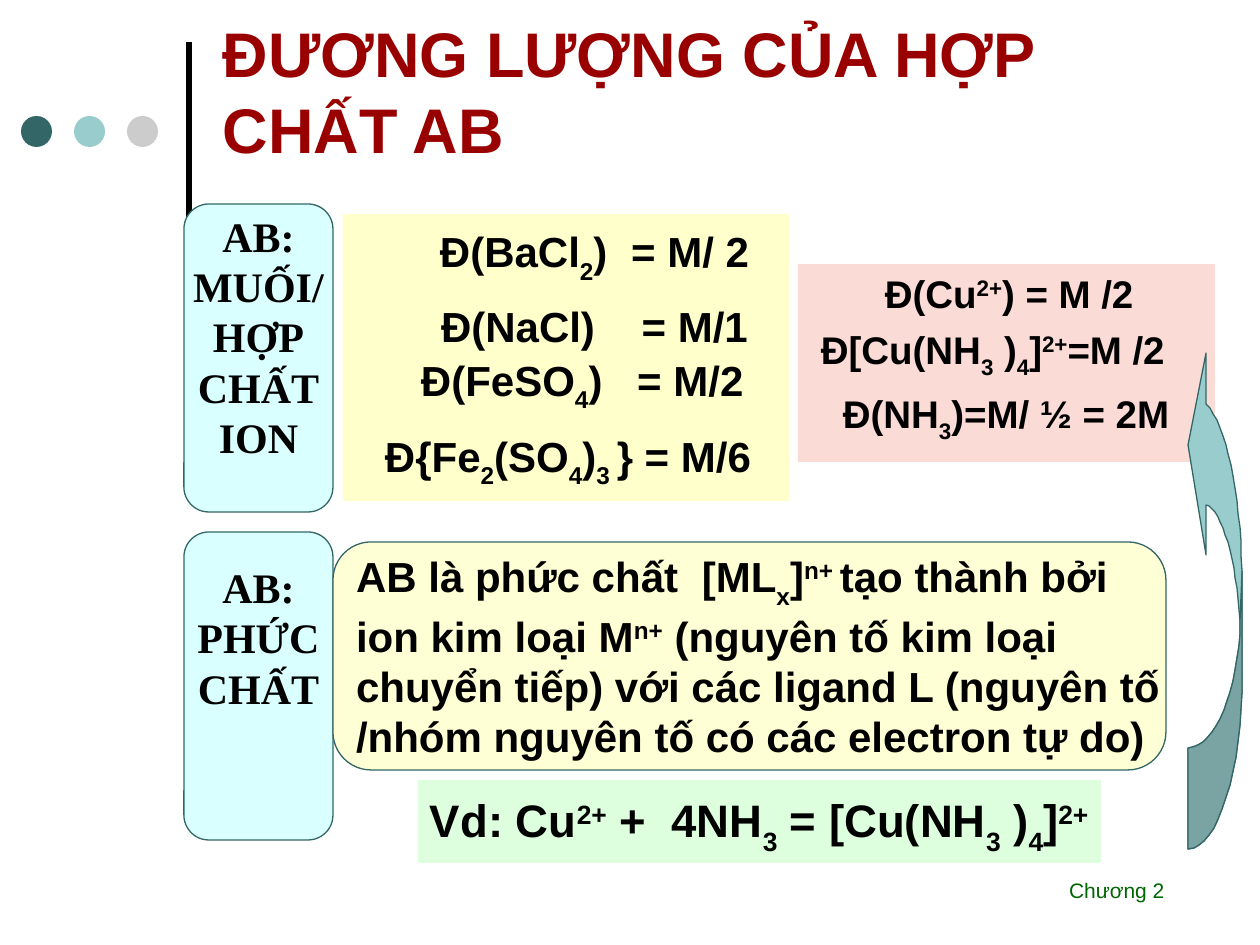
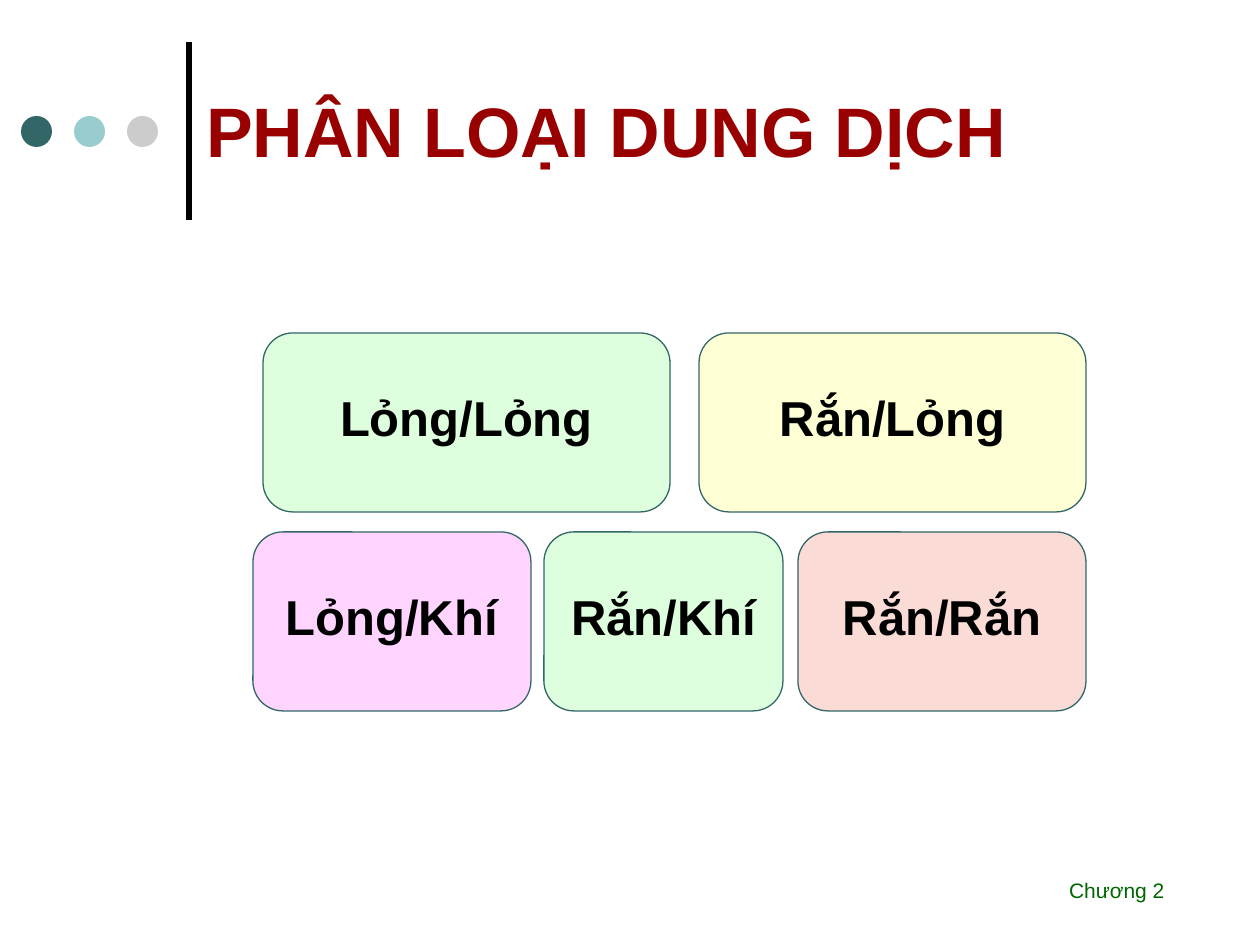
from lxml import etree
from pptx import Presentation
from pptx import util as u
from pptx.dml.color import RGBColor
from pptx.enum import shapes, text
from pptx.oxml.ns import qn

PX = 914400 / 126
HUE = {"ink": "000000", "title": "990000", "foot": "006600", "teal": "336666",
       "aqua": "99CCCC", "gray": "CCCCCC", "shade": "7AA3A3", "cyan": "D9FFFF",
       "cream": "FFFFCC", "ivory": "FFFFD5", "rose": "FADBD6", "mint": "DDFFDD",
       "pink": "FFD5FF"}
SANS, SERIF = "Arial", "Times New Roman"
RECT = shapes.MSO_SHAPE.RECTANGLE
ROUND = shapes.MSO_SHAPE.ROUNDED_RECTANGLE
OVAL = shapes.MSO_SHAPE.OVAL
LEFT, MID = text.PP_ALIGN.LEFT, text.PP_ALIGN.CENTER
TOP, CORE = text.MSO_ANCHOR.TOP, text.MSO_ANCHOR.MIDDLE

DOTS = ["teal", "aqua", "gray"]
FOOT = "Chương 2"
TITLES = [("ĐƯƠNG LƯỢNG CỦA HỢP CHẤT AB", (210, 26, 966, 129), 36),
          ("PHÂN LOẠI DUNG DỊCH", (193, 76, 966, 107), 40)]

SALTS = [("Đ(BaCl|_2|)|~12|= M/ 2", 97, 1.1, 0),
         ("Đ(NaCl)|~35|= M/1", 98, 1.1, 6),
         ("Đ(FeSO|_4|)|~23|= M/2", 78, 1.05, 0),
         ("Đ{Fe|_2|(SO|_4|)|_3 |} = M/6", 42, 1.1, 6)]
IONS = [("Đ(Cu|^2+|) = M /2", 87, 1, 0),
        ("Đ[Cu(NH|_3| )|_4|]|^2+|=M /2", 23, 1, 5.5),
        ("Đ(NH|_3|)=M/ ½ = 2M", 45, 1, 5.5)]
COMPLEX = ["AB là phức chất|~12|[ML|_x|]|^n+ |tạo thành bởi",
           "ion kim loại M|^n+| (nguyên tố kim loại",
           "chuyển tiếp) với các ligand L (nguyên tố",
           "/nhóm nguyên tố có các electron tự do)"]
SAMPLE = [("Vd: Cu|^2+| +|~13|4NH|_3| = [Cu(NH|_3| )|_4|]|^2+", 0, 1.1, 0)]
LABELS = [(204, 44, ["AB:", "MUỐI/", "HỢP", "CHẤT", "ION"]),
          (532, 98, ["AB:", "PHỨC", "CHẤT"])]

TAIL = [(1188, 849), (1218, 849, 1242, 770, 1242, 673), (1242, 571)]
HEAD = [(1240, 490, 1226, 425, 1206, 404), (1206, 353), (1188, 445),
        (1206, 555), (1206, 505), (1222, 510, 1236, 560, 1240, 621)]
HOOK = [(1239, 690, 1215, 748, 1188, 748)]
ARROW = [("aqua", TAIL + HEAD + HOOK), ("shade", TAIL + [(1240, 621)] + HOOK)]

ROWS = [(333, [("Lỏng/Lỏng", 263, 407, "mint"), ("Rắn/Lỏng", 699, 387, "ivory")]),
        (532, [("Lỏng/Khí", 253, 278, "pink"), ("Rắn/Khí", 544, 239, "mint"),
               ("Rắn/Rắn", 798, 288, "rose")])]


def emu(*nums):
    return [u.Emu(round(n * PX)) for n in nums]


def tint(name):
    return RGBColor.from_string(HUE[name])


def paint(item, fill, line=None):
    item.shadow.inherit = False
    item.fill.solid()
    item.fill.fore_color.rgb = tint(fill)
    if line:
        item.line.color.rgb = tint(line)
        item.line.width = u.Pt(0.75)
    else:
        item.line.fill.background()
    return item


def draw(slide, kind, box, fill, line=None):
    item = paint(slide.shapes.add_shape(kind, *emu(*box)), fill, line)
    if kind == ROUND:
        item.adjustments[0] = 0.167
    return item


def indent(para, left):
    props = para._p.get_or_add_pPr()
    props.set("marL", str(int(emu(left)[0])))
    props.set("indent", "0")
    etree.SubElement(props, qn("a:buNone"))


def mark(run, part):
    props = run._r.get_or_add_rPr()
    if part[0] == "~":
        run.text = " "
        props.set("spc", str(round(int(part[1:]) * PX / 127)))
    elif part[0] in "_^":
        run.text = part[1:]
        props.set("baseline", "-30000" if part[0] == "_" else "30000")
    else:
        run.text = part


def write(item, lines, size, font=SANS, hue="ink", bold=True, align=LEFT,
          anchor=TOP, inset=(0, 6, 0, 0), wrap=True):
    frame = item.text_frame
    frame.auto_size = text.MSO_AUTO_SIZE.NONE
    frame.word_wrap = wrap
    frame.vertical_anchor = anchor
    (frame.margin_left, frame.margin_top,
     frame.margin_right, frame.margin_bottom) = emu(*inset)
    for i, line in enumerate(lines):
        words, left, lead, gap = (line, 0, 1, 0) if isinstance(line, str) else line
        para = frame.add_paragraph() if i else frame.paragraphs[0]
        indent(para, left)
        para.alignment = align
        para.line_spacing = float(lead)
        para.space_before = u.Pt(gap)
        for part in words.split("|"):
            run = para.add_run()
            mark(run, part)
            run.font.name = font
            run.font.size = u.Pt(size)
            run.font.bold = bold
            run.font.color.rgb = tint(hue)


def place(item, box):
    item.left, item.top, item.width, item.height = emu(*box)
    return item


def head(slide, words, box, size):
    write(place(slide.shapes.title, box), [words], size, hue="title",
          anchor=CORE, inset=(13, 6, 13, 6))


def brand(master, slide):
    rule = slide.shapes.add_connector(shapes.MSO_CONNECTOR.STRAIGHT,
                                      *emu(189, 220, 189, 42))
    rule.line.color.rgb = tint("ink")
    rule.line.width = u.Pt(3)
    etree.SubElement(rule._element.spPr, qn("a:effectLst"))
    dots = [draw(slide, OVAL, (21 + 53 * i, 116, 31, 31), hue)
            for i, hue in enumerate(DOTS)]
    foot = slide.shapes.add_textbox(*emu(1057, 872, 121, 38))
    write(foot, [FOOT], 12, hue="foot", bold=False, inset=(12, 6, 12, 6), wrap=False)
    for item in [rule, *dots, foot]:
        master.shapes._spTree.append(item._element)


def trace(path):
    pts = [path[0]]
    for step in path[1:]:
        if len(step) == 2:
            pts.append(step)
            continue
        ctrl = [pts[-1], step[:2], step[2:4], step[4:]]
        for k in range(1, 17):
            t = k / 16
            mix = ((1 - t) ** 3, 3 * t * (1 - t) ** 2, 3 * t * t * (1 - t), t ** 3)
            pts.append(tuple(sum(m * c[a] for m, c in zip(mix, ctrl)) for a in (0, 1)))
    return pts


def bend(slide):
    for fill, path in ARROW:
        pts = trace(path)
        form = slide.shapes.build_freeform(*pts[0], scale=PX)
        form.add_line_segments(pts[1:], close=True)
        paint(form.convert_to_shape(), fill, "teal")


def weights(slide):
    body = place(slide.placeholders[1], (343, 214, 446, 287))
    body.fill.solid()
    body.fill.fore_color.rgb = tint("cream")
    write(body, SALTS, 24)
    for top, pad, lines in LABELS:
        item = draw(slide, ROUND, (184, top, 149, 308), "cyan", "teal")
        write(item, lines, 24, font=SERIF, align=MID, anchor=CORE,
              inset=(0, 0, 0, pad), wrap=False)
    item = draw(slide, ROUND, (333, 542, 833, 228), "ivory", "teal")
    write(item, COMPLEX, 24, anchor=CORE, inset=(12, 6, 12, 6), wrap=False)
    write(draw(slide, RECT, (798, 264, 417, 198), "rose"), IONS, 22)
    write(draw(slide, RECT, (418, 780, 683, 83), "mint"), SAMPLE, 26,
          inset=(12, 6, 0, 6))
    bend(slide)


def kinds(slide):
    for top, cells in ROWS:
        for words, left, wide, fill in cells:
            item = draw(slide, ROUND, (left, top, wide, 179), fill, "teal")
            write(item, [(words, 0, 0.8, 0)], 28, align=MID, anchor=CORE,
                  inset=(0, 6, 0, 6))


def main():
    deck = Presentation()
    deck.slide_width, deck.slide_height = emu(1260, 945)
    pages = [deck.slides.add_slide(deck.slide_layouts[n]) for n in (1, 5)]
    brand(deck.slide_master, pages[0])
    for page, title, fill in zip(pages, TITLES, (weights, kinds)):
        head(page, *title)
        fill(page)
    deck.save("out.pptx")


if __name__ == "__main__":
    main()
